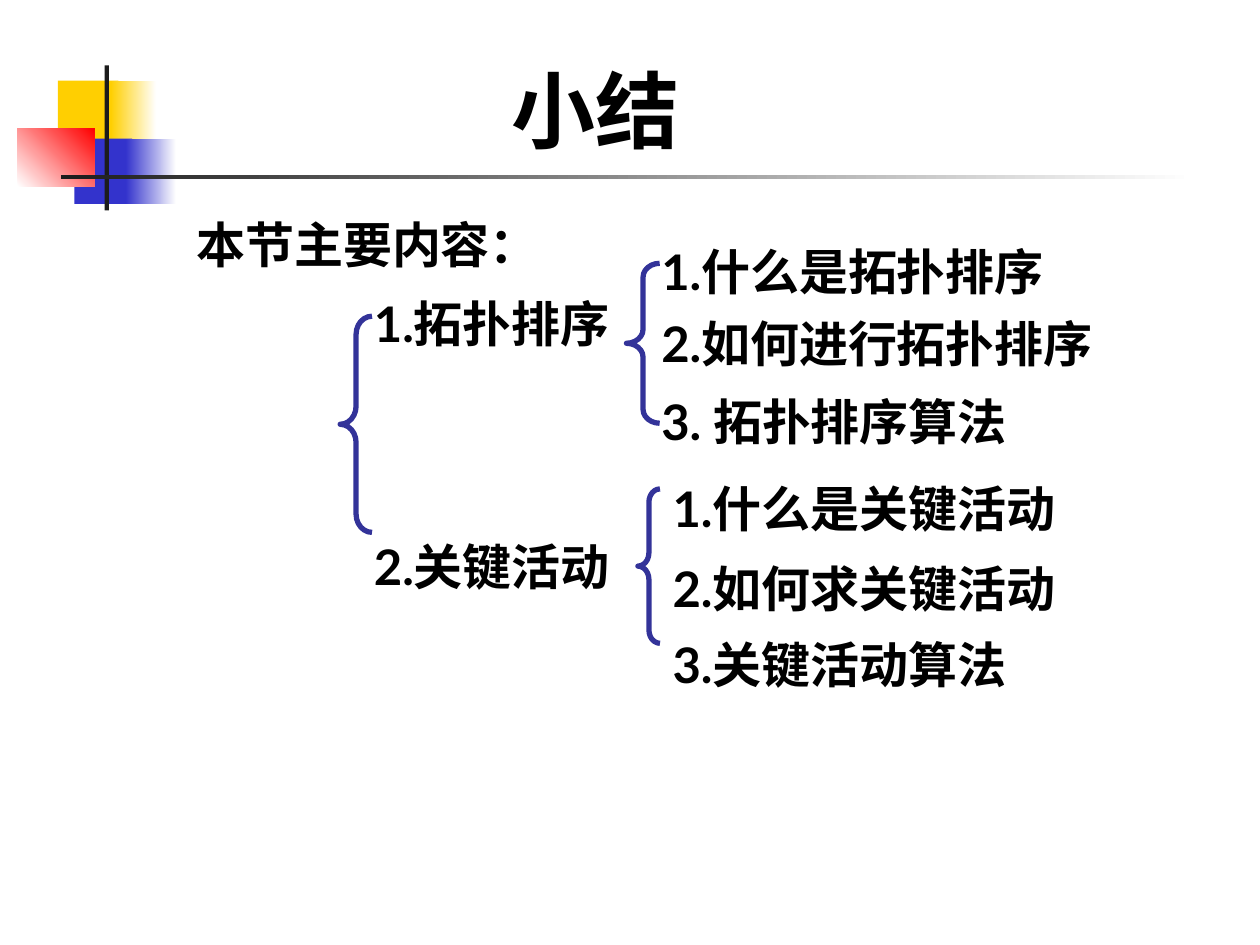
"""Build the summary slide on topological sorting and critical activities."""
import pptx
import pptx.dml.color
import pptx.enum.lang
import pptx.enum.shapes
import pptx.enum.text
import pptx.util

Pt = pptx.util.Pt
RGB = pptx.dml.color.RGBColor.from_string
ALIGN = pptx.enum.text.PP_ALIGN
SHAPE = pptx.enum.shapes.MSO_SHAPE

THEME = {
    "yellow": "FFCF01", "blue": "3333CC", "red": "FF0000", "white": "FFFFFF",
    "ink": "1C1C1C", "text": "000000", "brace": "333399",
    "title_font": "Times New Roman", "body_font": "Lato",
    "title_size": 48, "body_size": 28, "brace_width": 3,
}

deck = pptx.Presentation()
deck.slide_width, deck.slide_height = Pt(720), Pt(540)
slide = deck.slides.add_slide(deck.slide_layouts[6])


def add_preset(kind, left, top, width, height):
    shape = slide.shapes.add_shape(kind, Pt(left), Pt(top), Pt(width), Pt(height))
    shape.shadow.inherit = False
    return shape


def add_label(text, left, top, width, height, font, size, align):
    box = slide.shapes.add_textbox(Pt(left), Pt(top), Pt(width), Pt(height))
    frame = box.text_frame
    frame.word_wrap = True
    frame.auto_size = pptx.enum.text.MSO_AUTO_SIZE.SHAPE_TO_FIT_TEXT
    paragraph = frame.paragraphs[0]
    paragraph.alignment = align
    run = paragraph.add_run()
    run.text = text
    style = {"name": font, "size": Pt(size), "bold": True,
             "language_id": pptx.enum.lang.MSO_LANGUAGE_ID.SIMPLIFIED_CHINESE}
    for attribute, value in style.items():
        setattr(run.font, attribute, value)
    run.font.color.rgb = RGB(THEME["text"])


ornaments = [
    (33.1, 46.1, 34.6, 37.4, ["yellow"], 0),
    (63.4, 46.1, 25.9, 37.4, ["yellow", "white"], 0),
    (42.5, 79.2, 33.1, 37.4, ["blue"], 0),
    (72, 79.2, 28.8, 37.4, ["blue", "white"], 0),
    (10.1, 73.4, 43.9, 33.1, ["white", "red"], 45),
    (59.8, 37.4, 2.4, 82.8, ["ink"], 0),
    (34.6, 100.1, 648, 2.2, ["ink", "white"], 0),
]
for left, top, width, height, colours, angle in ornaments:
    ornament = add_preset(SHAPE.RECTANGLE, left, top, width, height)
    ornament.line.fill.background()
    if len(colours) == 1:
        ornament.fill.solid()
        ornament.fill.fore_color.rgb = RGB(THEME[colours[0]])
    else:
        ornament.fill.gradient()
        ornament.fill.gradient_angle = angle
        for stop, colour in zip(ornament.fill.gradient_stops, colours):
            stop.color.rgb = RGB(THEME[colour])

braces = [
    (194.4, 180.7, 18.2, 123.5, 0.57),
    (358, 150.5, 19, 91.4, 0.42),
    (364.5, 279.4, 12.6, 88.2, 0.6),
]
for left, top, width, height, curve in braces:
    brace = add_preset(SHAPE.LEFT_BRACE, left, top, width, height)
    brace.adjustments[0] = curve
    brace.adjustments[1] = 0.5
    brace.fill.background()
    brace.line.color.rgb = RGB(THEME["brace"])
    brace.line.width = Pt(THEME["brace_width"])

add_label("小结", 105.1, 30.2, 470.9, 64.8,
          THEME["title_font"], THEME["title_size"], ALIGN.CENTER)

outline = [
    ("本节主要内容：", 105.1, 118.8, 386),
    ("1.拓扑排序", 206.6, 164.2, 198.7),
    ("2.关键活动", 206.6, 303.1, 198.7),
    ("1.什么是拓扑排序", 370.8, 134.6, 283.7),
    ("2.如何进行拓扑排序", 370.8, 175.7, 283.7),
    ("3. 拓扑排序算法", 370.8, 220.3, 283.7),
    ("1.什么是关键活动", 377.3, 270, 283.7),
    ("2.如何求关键活动", 377.3, 315.4, 283.7),
    ("3.关键活动算法", 377.3, 359.3, 283.7),
]
for text, left, top, width in outline:
    add_label(text, left, top, width, 41,
              THEME["body_font"], THEME["body_size"], ALIGN.LEFT)

deck.save("out.pptx")
